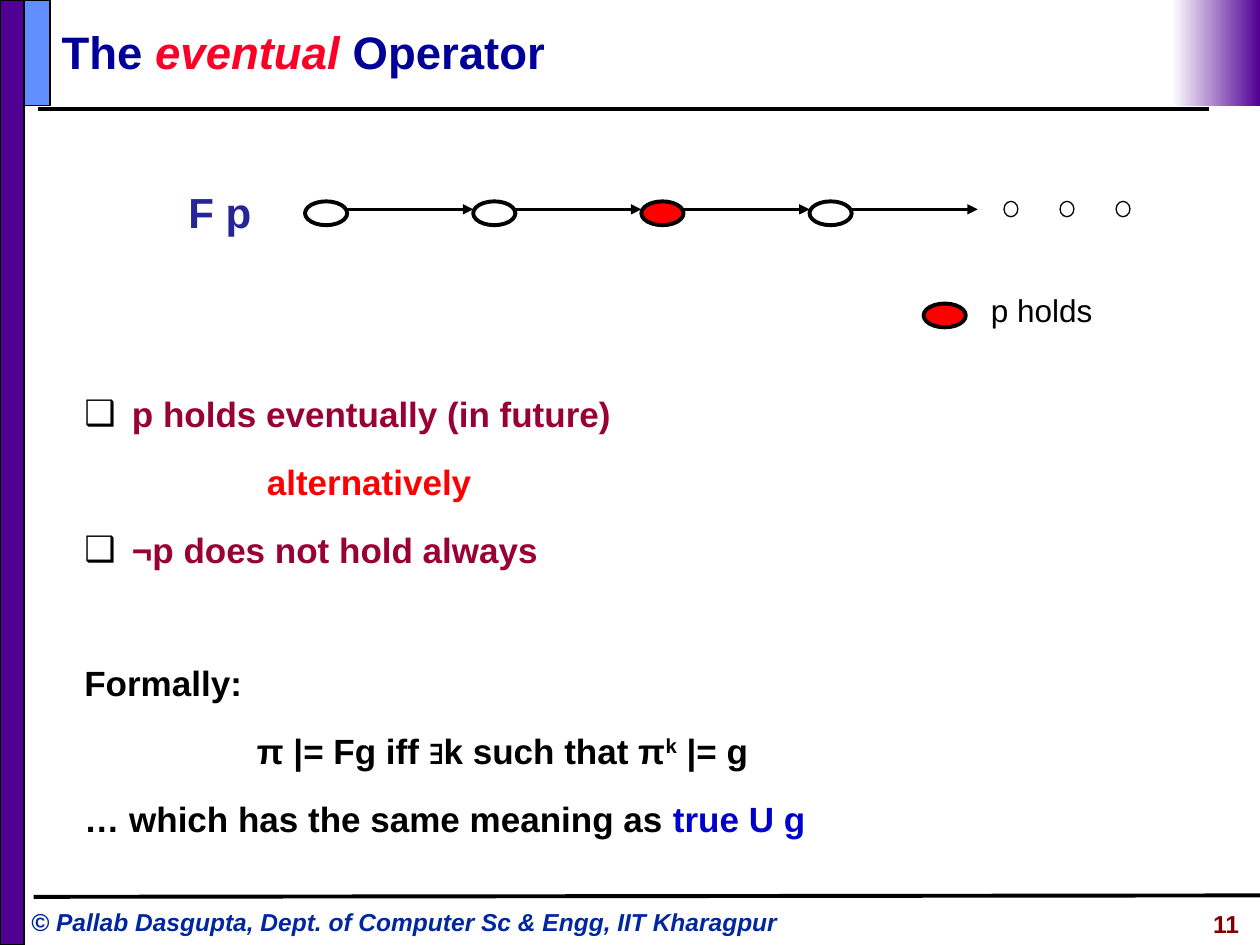
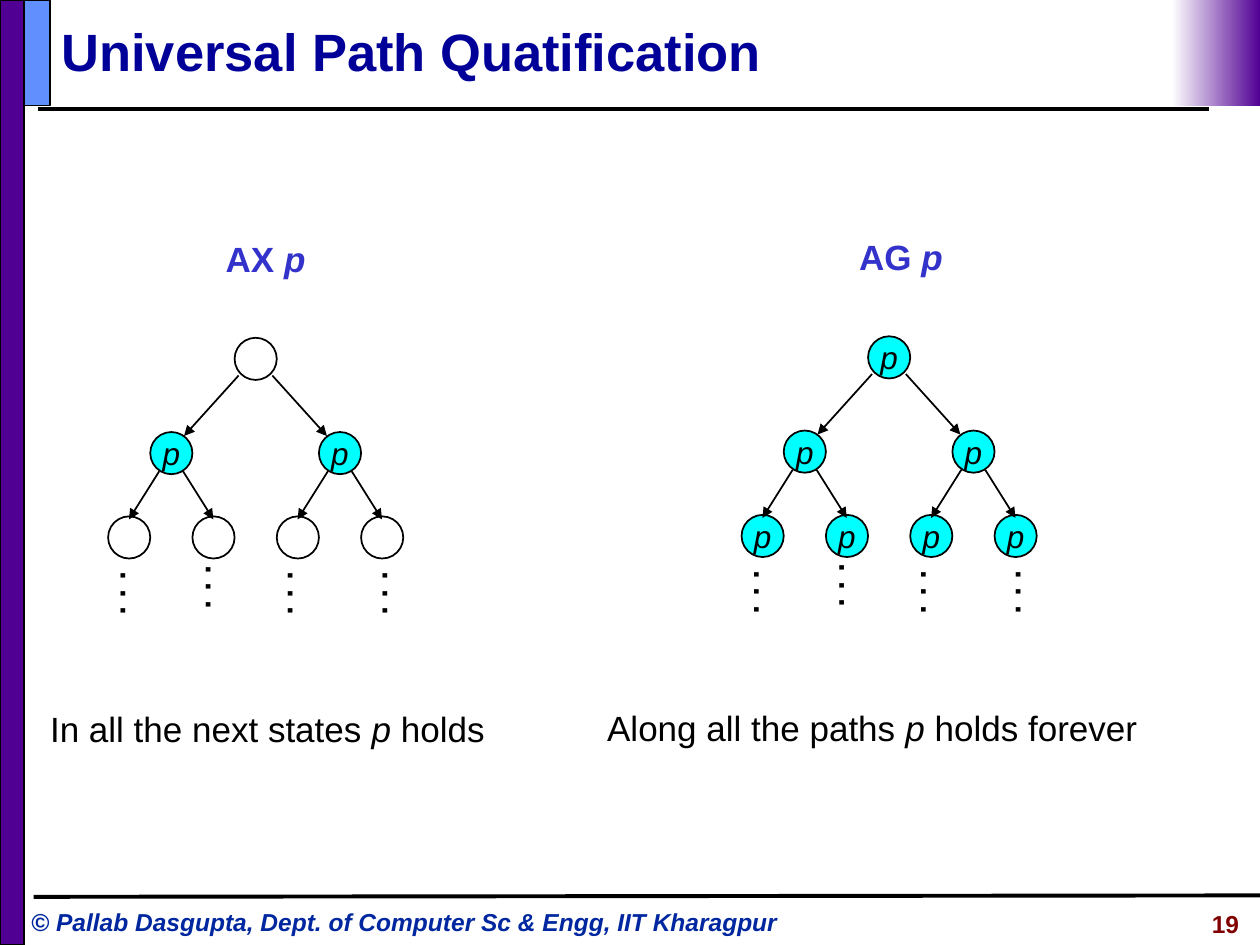
from lxml.etree import SubElement
from pptx import Presentation
from pptx.dml.color import RGBColor
from pptx.enum.shapes import MSO_CONNECTOR, MSO_SHAPE
from pptx.enum.text import MSO_ANCHOR, MSO_AUTO_SIZE, PP_ALIGN
from pptx.oxml.ns import qn
from pptx.util import Cm, Pt

COLORS = {
    "black": "000000", "white": "FFFFFF", "purple": "500093", "blue": "618FFD",
    "title": "000099", "accent": "FC0128", "credit": "00279F", "page": "800000",
    "claim": "990033", "red": "FF0000", "formula": "252595", "until": "0000CC",
    "operator": "3333CC", "cyan": "00FFFF",
}
CREDIT = "© Pallab Dasgupta, Dept. of Computer Sc & Engg, IIT Kharagpur"
ITALIC = {"italic": True}


def rgb(name):
    return RGBColor.from_string(COLORS[name])


class Deck:
    """Holds the style and the current slide; all lengths are in cm."""

    def __init__(self):
        self.prs = Presentation()
        self.prs.slide_width, self.prs.slide_height = Cm(25.4), Cm(19.05)
        self.slide = None

    # Text
    def runs(self, paragraph, parts, **base):
        for text, extra in parts:
            style = {"name": "Arial", "size": 18, "color": "black", **base, **extra}
            run = paragraph.add_run()
            run.text = text
            run.font.color.rgb = rgb(style.pop("color"))
            style["size"] = Pt(style["size"])
            if style.pop("superscript", False):
                run.font._element.set("baseline", "30000")
            for key, value in style.items():
                setattr(run.font, key, value)

    def frame(self, shape, **options):
        settings = {"margin_left": Cm(0.25), "margin_right": Cm(0.25),
                    "margin_top": Cm(0.13), "margin_bottom": Cm(0.13),
                    "word_wrap": True, "auto_size": MSO_AUTO_SIZE.NONE, **options}
        for key, value in settings.items():
            setattr(shape.text_frame, key, value)
        return shape.text_frame

    def text(self, box, parts, align=PP_ALIGN.LEFT, wrap=True, rotation=0, **style):
        label = self.slide.shapes.add_textbox(*map(Cm, box))
        label.rotation = rotation
        paragraph = self.frame(label, word_wrap=wrap).paragraphs[0]
        paragraph.alignment = align
        self.runs(paragraph, parts, **style)

    def place(self, placeholder, box):
        for key, value in zip(("left", "top", "width", "height"), box):
            setattr(placeholder, key, Cm(value))

    def title(self, parts, size):
        title = self.slide.shapes.title
        self.place(title, (0.99, 0.25, 23.11, 1.55))
        paragraph = self.frame(title, vertical_anchor=MSO_ANCHOR.MIDDLE).paragraphs[0]
        paragraph.alignment = PP_ALIGN.LEFT
        self.runs(paragraph, parts, size=size, bold=True, color="title")

    def body(self, box, items):
        """Each item is (parts, left indent, bulleted, space before)."""
        body = self.slide.placeholders[1]
        self.place(body, box)
        frame = self.frame(body, vertical_anchor=MSO_ANCHOR.TOP)
        for number, (parts, indent, bulleted, space) in enumerate(items):
            paragraph = frame.add_paragraph() if number else frame.paragraphs[0]
            paragraph.alignment = PP_ALIGN.LEFT
            paragraph.line_spacing = 1.25
            paragraph.space_before = Pt(space)
            props = paragraph._p.get_or_add_pPr()
            props.set("marL", str(Cm(indent)))
            props.set("indent", str(-Cm(indent) if bulleted else 0))
            if bulleted:
                color = SubElement(props, qn("a:buClr"))
                SubElement(color, qn("a:srgbClr"), val=COLORS["black"])
                SubElement(props, qn("a:buChar"), char="❑")
            else:
                SubElement(props, qn("a:buNone"))
            self.runs(paragraph, parts, size=20, bold=True)

    # Shapes and lines
    def shape(self, kind, box, fill, weight=1.0):
        shape = self.slide.shapes.add_shape(kind, *map(Cm, box))
        shape.shadow.inherit = False
        shape.fill.solid()
        shape.fill.fore_color.rgb = rgb(fill)
        shape.line.color.rgb = rgb("black")
        shape.line.width = Pt(weight)
        return shape

    def ellipse(self, box, fill, weight=1.0):
        return self.shape(MSO_SHAPE.OVAL, box, fill, weight)

    def line(self, start, end, weight, arrow=False):
        line = self.slide.shapes.add_connector(
            MSO_CONNECTOR.STRAIGHT, *map(Cm, (*start, *end)))
        line.line.color.rgb = rgb("black")
        line.line.width = Pt(weight)
        if arrow:
            SubElement(line.line._get_or_add_ln(), qn("a:tailEnd"), type="triangle")
        SubElement(line._element.spPr, qn("a:effectLst"))

    # Shared frame of every slide
    def new_slide(self, layout, page):
        self.slide = self.prs.slides.add_slide(self.prs.slide_layouts[layout])
        self.line((0.76, 2.2), (24.38, 2.2), 2.25)
        self.text((0.38, 18.16, 16.18, 0.86), [(CREDIT, ITALIC)],
                  size=14, bold=True, color="credit")
        self.shape(MSO_SHAPE.RECTANGLE, (0, 0, 0.48, 19.05), "purple")
        self.line((0.68, 18.08), (25.4, 18.05), 2.25)
        self.shape(MSO_SHAPE.RECTANGLE, (0.48, 0, 0.53, 2.13), "blue")
        fade = self.shape(MSO_SHAPE.RECTANGLE, (23.62, 0, 1.78, 2.13), "purple")
        fade.line.fill.background()
        fade.fill.gradient()
        fade.fill.gradient_angle = 180
        for stop, (position, color) in zip(fade.fill.gradient_stops,
                                           ((0, "purple"), (1, "white"))):
            stop.position = position
            stop.color.rgb = rgb(color)
        self.text((20.78, 18.19, 4.45, 0.89), [(str(page), {})], PP_ALIGN.RIGHT,
                  size=14, bold=True, color="page")

    # Computation tree
    def state(self, center, top, holds):
        node = self.ellipse((center - 0.42, top, 0.85, 0.85),
                            "cyan" if holds else "white")
        if holds:
            frame = self.frame(node, word_wrap=False, vertical_anchor=MSO_ANCHOR.MIDDLE)
            frame.paragraphs[0].alignment = PP_ALIGN.CENTER
            self.runs(frame.paragraphs[0], [("p", ITALIC)])

    def tree(self, root, top, operator, holding_levels):
        self.text((root - 0.85, top - 2.16, 2.15, 1.12),
                  [(operator + " ", {}), ("p", ITALIC)],
                  wrap=False, size=20, bold=True, color="operator")
        tops = [top, top + 1.9, top + 3.6]
        # Per level: child offset, arrow start (x, y), arrow end (x, y)
        steps = [(1.7, (0.34, 0.76), (0.26, 0.08)), (0.85, (0.24, 0.79), (0, 0.06))]
        centers, arrows = [root], []
        for level, y in enumerate(tops):
            for center in centers:
                self.state(center, y, level in holding_levels)
            if level == len(steps):
                break
            spread, (out_x, out_y), (in_x, in_y) = steps[level]
            arrows += [((c + side * out_x, y + out_y),
                        (c + side * (spread - in_x), tops[level + 1] + in_y))
                       for c in centers for side in (-1, 1)]
            centers = [c + side * spread for c in centers for side in (-1, 1)]
        for start, end in arrows:
            self.line(start, end, 1, arrow=True)
        # Continuation dots below the leaves
        for offset, rise in ((-2.46, 0), (-0.74, 0.13), (0.91, 0), (2.82, 0)):
            self.text((root + offset - 0.69, top + 4.64 - rise, 1.37, 1.02),
                      [(". . .", {})], wrap=False, rotation=90, bold=True)


def eventual_slide(deck):
    deck.new_slide(1, 11)
    deck.title([("The ", {}), ("eventual ", {"color": "accent", **ITALIC}),
                ("Operator", {})], 26)
    claim = {"color": "claim"}
    deck.body((1.45, 7.57, 23.27, 9.83), [
        ([("p holds eventually (in future)", claim)], 0.96, True, 0),
        ([("alternatively", {"color": "red"})], 3.68, False, 8.75),
        ([("¬p does not hold always", claim)], 0.96, True, 8.75),
        ([("Formally:", {})], 0, False, 46.25),
        ([("π |= Fg iff ∃k such that π", {}), ("k", {"superscript": True}),
          (" |= g", {})], 3.48, False, 8.75),
        ([("… which has the same meaning as ", {}),
          ("true U g", {"color": "until"})], 0, False, 8.75),
    ])

    # Path of states, p holding in the third
    deck.text((3.38, 3.63, 2.11, 1.27), [("F p", {})], PP_ALIGN.CENTER,
              size=24, bold=True, color="formula")
    for step in range(4):
        left = 6.15 + step * 3.39
        deck.ellipse((left, 4.06, 0.85, 0.48), "red" if step == 2 else "white", 2.25)
        deck.line((left + 0.85, 4.22), (left + 3.39, 4.22), 1.5, arrow=True)
    for dot in range(3):
        deck.ellipse((20.24 + dot * 1.13, 4.06, 0.28, 0.31), "white", 0.75)

    # Legend
    deck.ellipse((18.62, 6.12, 0.85, 0.48), "red", 2.25)
    deck.text((19.69, 5.74, 2.62, 1.02), [("p holds", {})], PP_ALIGN.CENTER)


def universal_slide(deck):
    deck.new_slide(5, 19)
    deck.title([("Universal Path Quatification", {})], 30)
    for root, top, operator, levels, left, width, before, after in (
            (5.15, 6.81, "AX", {1}, 0.76, 9.27,
             "In all the next states ", " holds"),
            (17.92, 6.78, "AG", {0, 1, 2}, 11.99, 11.2,
             "Along all the paths ", " holds forever")):
        deck.tree(root, top, operator, levels)
        deck.text((left, top + 7.33, width, 1.09),
                  [(before, {}), ("p", ITALIC), (after, {})], wrap=False, size=20)


def main():
    deck = Deck()
    eventual_slide(deck)
    universal_slide(deck)
    deck.prs.save("out.pptx")


if __name__ == "__main__":
    main()
